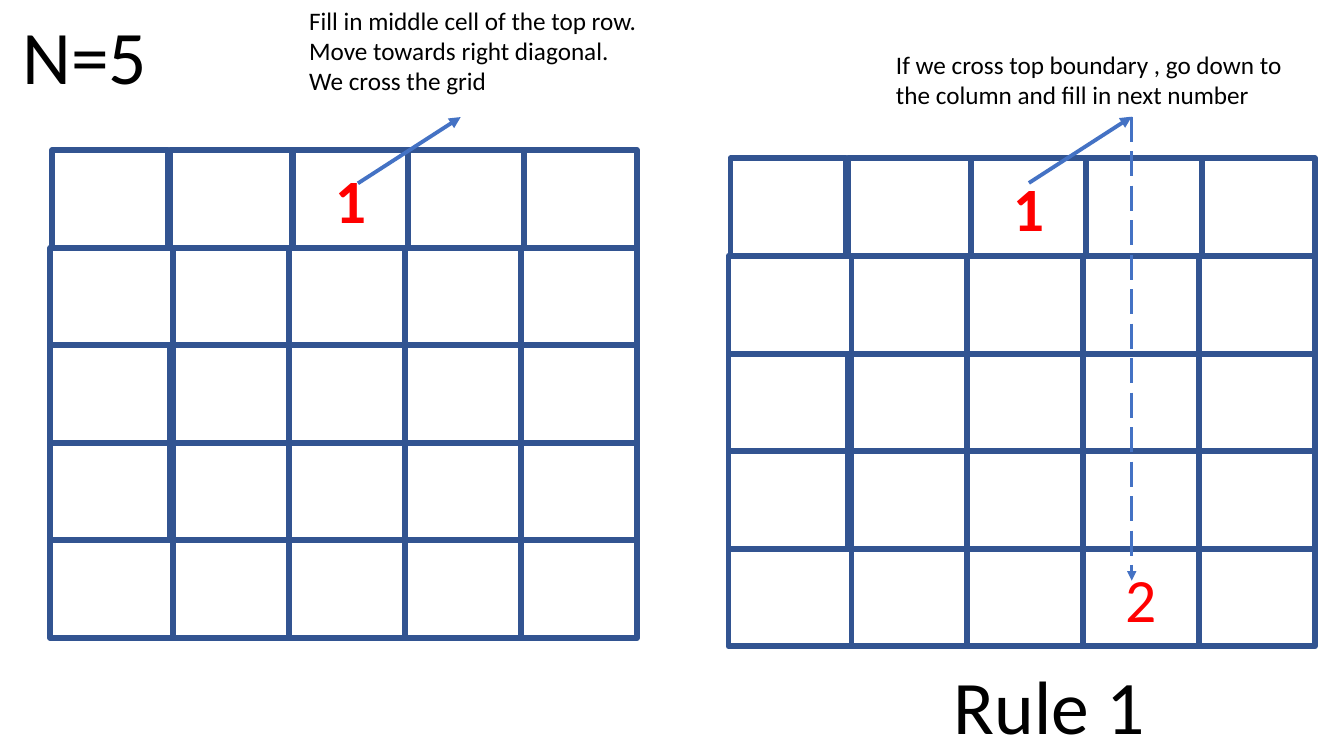
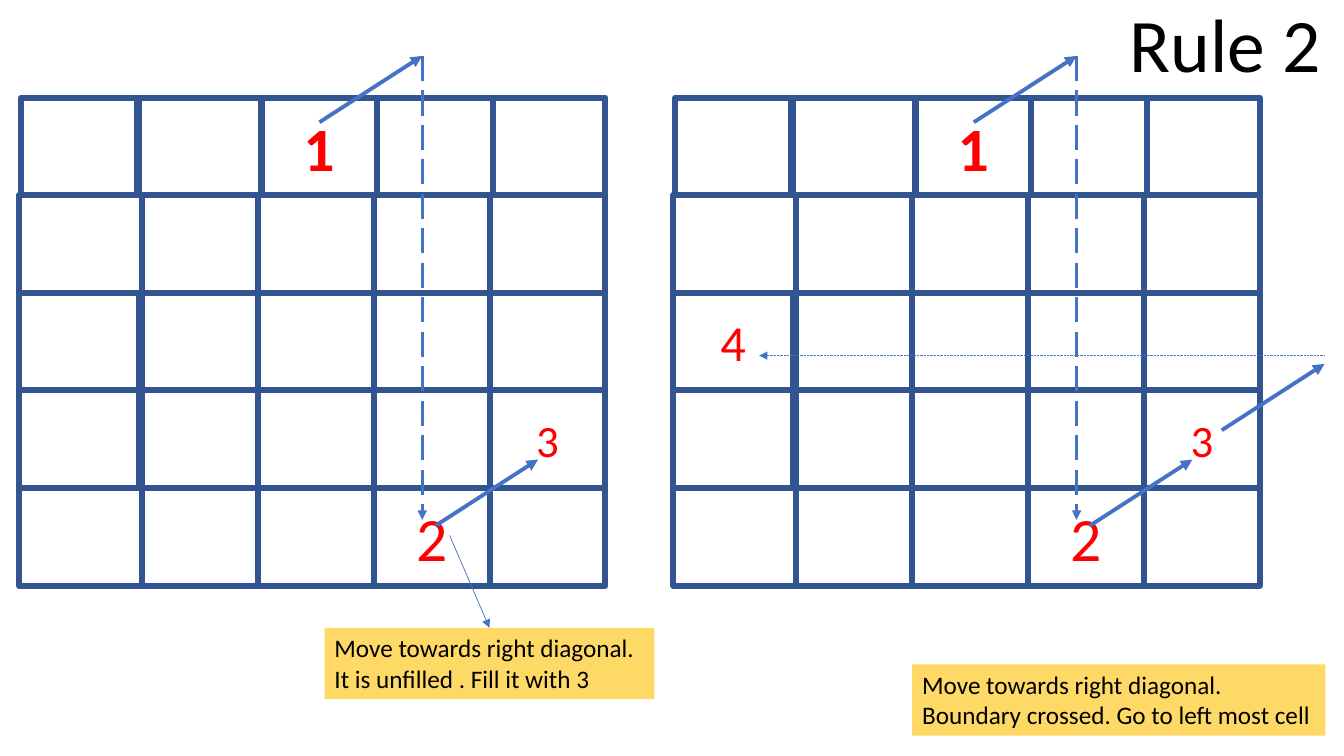
from dataclasses import dataclass
from itertools import accumulate
from typing import Optional

from lxml.etree import SubElement
from pptx import Presentation
from pptx.dml.color import RGBColor
from pptx.enum.dml import MSO_LINE
from pptx.enum.shapes import MSO_CONNECTOR, MSO_SHAPE
from pptx.enum.text import MSO_ANCHOR, MSO_AUTO_SIZE, PP_ALIGN
from pptx.oxml.ns import qn
from pptx.util import Cm, Pt

# Shared style
FONT = "Calibri"
BLACK = RGBColor(0x00, 0x00, 0x00)
RED = RGBColor(0xFF, 0x00, 0x00)
GRID_BLUE = RGBColor(0x32, 0x54, 0x91)
ARROW_BLUE = RGBColor(0x44, 0x72, 0xC4)
NOTE_YELLOW = RGBColor(0xFF, 0xD9, 0x66)
HEADING_SIZE = 54
NOTE_SIZE = 18
TITLE_ONLY = 5

# Grid geometry in centimetres
ROW_HEIGHT = 2.46
CELL = 2.92
TOP_LEFTS = (0.05, 3.02, 6.10, 9.02, 11.94)
TOP_WIDTHS = (CELL, 3.10, CELL, CELL, 2.84)
LOWER_LEFTS = tuple(accumulate((0, 3.10, CELL, CELL, CELL)))
FIRST_WIDTHS = (CELL, 3.10, 3.02, 3.02, 3.10)
STEP_X, STEP_Y = 2.59, -1.67


@dataclass(frozen=True)
class Area:
    left: float
    top: float
    width: float
    height: float


@dataclass(frozen=True)
class Mark:
    row: int
    column: int
    text: str
    size: int
    bold: bool = False


@dataclass(frozen=True)
class Arrow:
    """An arrow whose ends are measured from the corner of its grid."""
    start_x: float
    start_y: float
    end_x: float
    end_y: float
    weight: float = 2.75
    dash: Optional[MSO_LINE] = None


@dataclass(frozen=True)
class Grid:
    left: float
    top: float
    marks: tuple[Mark, ...]
    arrows: tuple[Arrow, ...]


@dataclass(frozen=True)
class Note:
    area: Area
    lines: tuple[str, ...]
    fill: Optional[RGBColor] = None


def diagonal(x: float, y: float) -> Arrow:
    return Arrow(x, y, x + STEP_X, y + STEP_Y)


# Numbers and moves of the walk through the square
ONE = Mark(0, 2, "1", 44, True)
TWO = Mark(4, 3, "2", 44)
THREE = Mark(3, 4, "3", 32)
FOUR = Mark(2, 0, "4", 36)
LEAVE_TOP = diagonal(7.57, 0.62)
DROP_DOWN = Arrow(10.16, -1.05, 10.16, 10.64, 2.25, MSO_LINE.LONG_DASH)
TWO_TO_THREE = diagonal(10.49, 10.79)
LEAVE_RIGHT = diagonal(13.82, 8.38)
GO_LEFT = Arrow(16.41, 6.50, 2.16, 6.50, 0.5, MSO_LINE.ROUND_DOT)

FIRST_GRID = Grid(1.27, 3.78, (ONE,), (diagonal(7.75, 0.84),))
RULE_ONE_GRID = Grid(18.36, 3.99, (ONE, TWO), (LEAVE_TOP, DROP_DOWN))
THREE_GRID = Grid(0.48, 2.46, (ONE, TWO, THREE),
                  (LEAVE_TOP, DROP_DOWN, TWO_TO_THREE))
FOUR_GRID = Grid(16.97, 2.46, (ONE, TWO, THREE, FOUR),
                 (LEAVE_TOP, DROP_DOWN, TWO_TO_THREE, LEAVE_RIGHT, GO_LEFT))

START_NOTE = Note(Area(7.54, 0, 8.86, 2.57), (
    "Fill in middle cell of the top row.",
    "Move towards right diagonal.",
    "We cross the grid"))
TOP_NOTE = Note(Area(22.33, 1.12, 10.49, 1.80), (
    "If we cross top boundary , go down to",
    "the column and fill in next number"))
UNFILLED_NOTE = Note(Area(8.18, 15.82, 8.31, 1.80), (
    "Move towards right diagonal.",
    "It is unfilled . Fill it with 3"), NOTE_YELLOW)
BOUNDARY_NOTE = Note(Area(22.99, 16.74, 10.41, 1.80), (
    "Move towards right diagonal.",
    "Boundary crossed. Go to left most cell"), NOTE_YELLOW)


def write(paragraph, text: str, size: int, colour: RGBColor = BLACK,
          bold: bool = False, align=PP_ALIGN.LEFT) -> None:
    paragraph.alignment = align
    span = paragraph.add_run()
    span.text = text
    span.font.name = FONT
    span.font.size = Pt(size)
    span.font.bold = bold
    span.font.color.rgb = colour


def fit_frame(box) -> None:
    frame = box.text_frame
    frame.word_wrap = False
    frame.auto_size = MSO_AUTO_SIZE.SHAPE_TO_FIT_TEXT
    frame.vertical_anchor = MSO_ANCHOR.TOP


def add_box(page, area: Area):
    box = page.shapes.add_textbox(Cm(area.left), Cm(area.top),
                                  Cm(area.width), Cm(area.height))
    fit_frame(box)
    return box


def write_heading(box, text: str) -> None:
    write(box.text_frame.paragraphs[0], text, HEADING_SIZE,
          align=PP_ALIGN.CENTER)


def set_title(page, text: str, area: Area) -> None:
    title = page.shapes.title
    title.left, title.top = Cm(area.left), Cm(area.top)
    title.width, title.height = Cm(area.width), Cm(area.height)
    fit_frame(title)
    write_heading(title, text)


def add_note(page, note: Note):
    box = add_box(page, note.area)
    if note.fill is not None:
        box.fill.solid()
        box.fill.fore_color.rgb = note.fill
    frame = box.text_frame
    for index, line in enumerate(note.lines):
        para = frame.add_paragraph() if index else frame.paragraphs[0]
        write(para, line, NOTE_SIZE)
    return box


def add_arrow(shapes, arrow: Arrow, left: float = 0, top: float = 0):
    connector = shapes.add_connector(
        MSO_CONNECTOR.STRAIGHT,
        Cm(left + arrow.start_x), Cm(top + arrow.start_y),
        Cm(left + arrow.end_x), Cm(top + arrow.end_y))
    line = connector.line
    line.color.rgb = ARROW_BLUE
    line.width = Pt(arrow.weight)
    if arrow.dash is not None:
        line.dash_style = arrow.dash
    properties = connector.element.spPr
    SubElement(properties.find(qn("a:ln")), qn("a:tailEnd"), type="triangle")
    SubElement(properties, qn("a:effectLst"))
    return connector


def cell_area(grid: Grid, row: int, column: int) -> Area:
    if row == 0:
        offset, width = TOP_LEFTS[column], TOP_WIDTHS[column]
    else:
        offset = LOWER_LEFTS[column]
        width = CELL if column else FIRST_WIDTHS[row]
    return Area(grid.left + offset, grid.top + row * ROW_HEIGHT,
                width, ROW_HEIGHT)


def add_grid(page, grid: Grid) -> None:
    shapes = page.shapes.add_group_shape().shapes
    marks = {(mark.row, mark.column): mark for mark in grid.marks}
    for row in range(len(FIRST_WIDTHS)):
        for column in range(len(LOWER_LEFTS)):
            area = cell_area(grid, row, column)
            cell = shapes.add_shape(MSO_SHAPE.RECTANGLE, Cm(area.left),
                                    Cm(area.top), Cm(area.width),
                                    Cm(area.height))
            cell.shadow.inherit = False
            cell.fill.background()
            cell.line.color.rgb = GRID_BLUE
            cell.line.width = Pt(4.25)
            mark = marks.get((row, column))
            if mark is not None:
                cell.text_frame.vertical_anchor = MSO_ANCHOR.MIDDLE
                write(cell.text_frame.paragraphs[0], mark.text, mark.size,
                      RED, mark.bold, PP_ALIGN.CENTER)
    for arrow in grid.arrows:
        add_arrow(shapes, arrow, grid.left, grid.top)


def add_page(deck, title: str, area: Area):
    page = deck.slides.add_slide(deck.slide_layouts[TITLE_ONLY])
    set_title(page, title, area)
    return page


def build_rule_one(deck) -> None:
    page = add_page(deck, "Rule 1", Area(23.75, 16.48, 5.38, 2.57))
    add_grid(page, FIRST_GRID)
    write_heading(add_box(page, Area(0.30, 0.10, 3.68, 2.57)), "N=5")
    add_note(page, START_NOTE)
    add_grid(page, RULE_ONE_GRID)
    add_note(page, TOP_NOTE)


def build_rule_two(deck) -> None:
    page = add_page(deck, "Rule 2", Area(28.19, -0.20, 5.38, 2.57))
    add_grid(page, THREE_GRID)
    note = add_note(page, UNFILLED_NOTE)
    # Pointer from the number 2 to its note
    pointer = add_arrow(page.shapes, Arrow(11.33, 13.49, 12.34, 15.82, 0.5))
    pointer.end_connect(note, 0)
    add_grid(page, FOUR_GRID)
    add_note(page, BOUNDARY_NOTE)


def main() -> None:
    deck = Presentation()
    deck.slide_width, deck.slide_height = Cm(33.87), Cm(19.05)
    build_rule_one(deck)
    build_rule_two(deck)
    deck.save("out.pptx")


if __name__ == "__main__":
    main()
